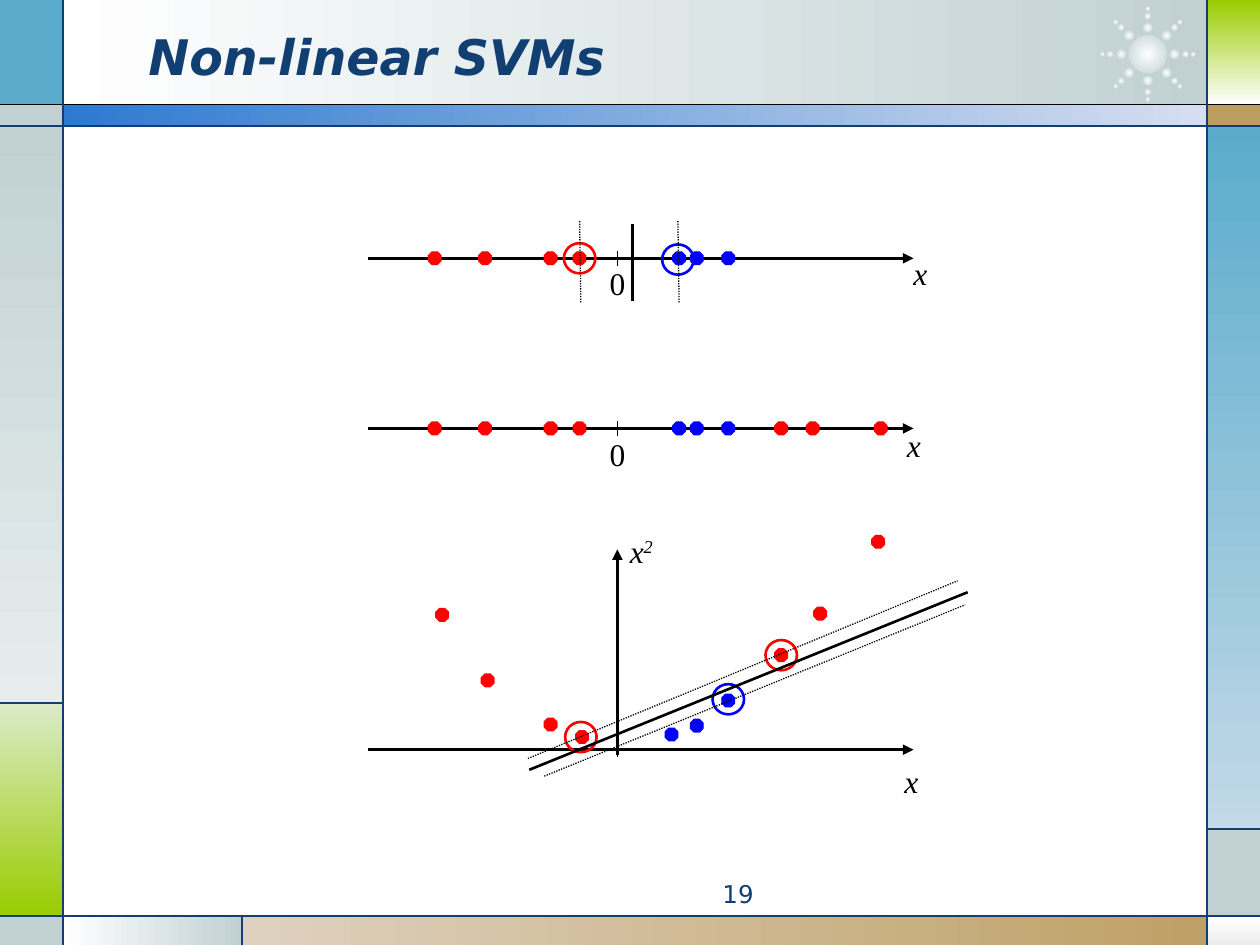
"""Build the slide on non-linear SVMs: three point plots inside a framed page."""
import dataclasses
import math

import lxml.etree
import pptx
import pptx.dml.color
import pptx.enum.dml
import pptx.enum.shapes
import pptx.enum.text
import pptx.oxml.ns
import pptx.util


@dataclasses.dataclass(frozen=True)
class Theme:
    navy: str = "113F71"
    black: str = "000000"
    white: str = "FFFFFF"
    silver: str = "C1D1D3"
    mist: str = "E7EDEE"
    teal: str = "5AABCC"
    pale_teal: str = "C2D9E7"
    green: str = "99CC00"
    pale_green: str = "DBEBC9"
    brown: str = "BD9E61"
    sand: str = "DED1BF"
    blue: str = "2D7ACF"
    pale_blue: str = "D7DEF0"
    smoke: str = "EDEDED"
    red_class: str = "FF0000"
    blue_class: str = "0000FF"
    sans: str = "DejaVu Sans"
    serif: str = "Times New Roman"
    title_size: int = 28
    label_size: int = 18
    number_size: int = 14


theme = Theme()
shapes_enum = pptx.enum.shapes.MSO_SHAPE
align = pptx.enum.text.PP_ALIGN
anchor = pptx.enum.text.MSO_ANCHOR
rgb = pptx.dml.color.RGBColor.from_string
qn = pptx.oxml.ns.qn

COLUMNS, ROWS = 100, 75
presentation = pptx.Presentation()
presentation.slide_width = pptx.util.Inches(10)
presentation.slide_height = pptx.util.Inches(7.5)
column = presentation.slide_width / COLUMNS
row = presentation.slide_height / ROWS
slide = presentation.slides.add_slide(presentation.slide_layouts[6])


def add_area(kind, left, top, width, height, colours=(), angle=0, line=None, line_width=0.75):
    """Add a preset shape in grid units with no fill, a solid fill or a gradient."""
    shape = slide.shapes.add_shape(
        kind, int(left * column), int(top * row), int(width * column), int(height * row))
    shape.shadow.inherit = False
    if len(colours) == 2:
        shape.fill.gradient()
        shape.fill.gradient_angle = -angle % 360
        for stop, colour, position in zip(shape.fill.gradient_stops, colours, (0, 1)):
            stop.color.rgb = rgb(colour)
            stop.position = position
    elif colours:
        shape.fill.solid()
        shape.fill.fore_color.rgb = rgb(colours[0])
    else:
        shape.fill.background()
    if line:
        shape.line.color.rgb = rgb(line)
        shape.line.width = pptx.util.Pt(line_width)
    else:
        shape.line.fill.background()
    return shape


def add_line(x1, y1, x2, y2, colour=theme.black, width=0.75, dotted=False, arrow=False):
    """Add a straight line in grid units."""
    connector = slide.shapes.add_connector(
        pptx.enum.shapes.MSO_CONNECTOR.STRAIGHT,
        int(x1 * column), int(y1 * row), int(x2 * column), int(y2 * row))
    connector.line.color.rgb = rgb(colour)
    connector.line.width = pptx.util.Pt(width)
    if dotted:
        connector.line.dash_style = pptx.enum.dml.MSO_LINE.ROUND_DOT
    if arrow:
        lxml.etree.SubElement(connector.line._get_or_add_ln(), qn("a:tailEnd"), type="triangle")
    lxml.etree.SubElement(connector._element.spPr, qn("a:effectLst"))


LEFT, RIGHT, HEADER, BODY, FOOTER = 5, 95.8, 8.3, 10, 72.7
LEFT_SPLIT, RIGHT_SPLIT, FOOTER_SPLIT = 55.8, 65.8, 19.2
frame_panels = [
    (LEFT, 0, RIGHT, HEADER, (theme.white, theme.silver), 0),
    (0, 0, LEFT, HEADER, (theme.teal,), 0),
    (0, HEADER, LEFT, BODY, (theme.silver,), 0),
    (0, BODY, LEFT, LEFT_SPLIT, (theme.silver, theme.mist), 90),
    (0, LEFT_SPLIT, LEFT, FOOTER, (theme.pale_green, theme.green), 90),
    (0, FOOTER, LEFT, ROWS, (theme.silver,), 0),
    (LEFT, FOOTER, FOOTER_SPLIT, ROWS, (theme.white, theme.silver), 0),
    (FOOTER_SPLIT, FOOTER, COLUMNS, ROWS, (theme.sand, theme.brown), 0),
    (RIGHT, FOOTER, COLUMNS, ROWS, (theme.white, theme.smoke), 90),
    (RIGHT, RIGHT_SPLIT, COLUMNS, FOOTER, (theme.silver,), 0),
    (RIGHT, BODY, COLUMNS, RIGHT_SPLIT, (theme.teal, theme.pale_teal), 90),
    (RIGHT, HEADER, COLUMNS, BODY, (theme.brown,), 0),
    (RIGHT, 0, COLUMNS, HEADER, (theme.green, theme.white), 90),
    (LEFT, HEADER, RIGHT, BODY, (theme.blue, theme.pale_blue), 0),
]
for left, top, right, bottom, colours, angle in frame_panels:
    add_area(shapes_enum.RECTANGLE, left, top, right - left, bottom - top, colours, angle)

SUN_X, SUN_Y, RAYS = 91.1, 4.3, 8
sun_dots = [(0, 0, 3)]
for ray in range(RAYS):
    sun_dots += [(ray, distance, size) for distance, size in ((2.1, 0.75), (3, 0.5), (3.6, 0.35))]
for ray, distance, size in sun_dots:
    turn = 2 * math.pi * ray / RAYS
    dot = add_area(shapes_enum.OVAL, SUN_X + distance * math.cos(turn) - size / 2,
                   SUN_Y + distance * math.sin(turn) - size / 2, size, size,
                   (theme.white, theme.silver))
    gradient = dot._element.spPr.find(qn("a:gradFill"))
    gradient.remove(gradient.find(qn("a:lin")))
    radial = lxml.etree.SubElement(gradient, qn("a:path"), {"path": "circle"})
    lxml.etree.SubElement(radial, qn("a:fillToRect"), l="50000", t="50000", r="50000", b="50000")

add_line(0, HEADER, COLUMNS, HEADER)
for x1, y1, x2, y2 in [
    (0, BODY, COLUMNS, BODY), (0, FOOTER, COLUMNS, FOOTER),
    (LEFT, 0, LEFT, ROWS), (RIGHT, 0, RIGHT, ROWS),
    (0, LEFT_SPLIT, LEFT, LEFT_SPLIT), (FOOTER_SPLIT, FOOTER, FOOTER_SPLIT, ROWS),
    (RIGHT, RIGHT_SPLIT, COLUMNS, RIGHT_SPLIT),
]:
    add_line(x1, y1, x2, y2, theme.navy)

AXIS_START, AXIS_END, ORIGIN = 29.2, 72.5, 49
SEPARABLE, MIXED, MAPPED = 20.5, 34, 59.5
for axis in (SEPARABLE, MIXED, MAPPED):
    add_line(AXIS_START, axis, AXIS_END, axis, width=2, arrow=True)
    add_line(ORIGIN, axis - 0.6, ORIGIN, axis + 0.6)
add_line(ORIGIN, 59.9, ORIGIN, 43.6, width=2, arrow=True)

left_reds, right_reds, blues = (34.5, 38.5, 43.7, 46), (62, 64.5, 69.9), (53.9, 55.3, 57.8)
points = {
    theme.red_class: [(x, SEPARABLE) for x in left_reds]
    + [(x, MIXED) for x in left_reds + right_reds]
    + [(35.1, 48.8), (38.7, 54), (43.7, 57.5), (46.2, 58.5), (62, 52), (65.1, 48.7), (69.7, 43)],
    theme.blue_class: [(x, axis) for axis in (SEPARABLE, MIXED) for x in blues]
    + [(53.3, 58.3), (55.3, 57.6), (57.8, 55.6)],
}
support_vectors = {
    theme.red_class: [(46, SEPARABLE), (62, 52), (46.1, 58.5)],
    theme.blue_class: [(53.8, 20.6), (57.8, 55.5)],
}
for colour, centres in points.items():
    for x, y in centres:
        point = add_area(shapes_enum.OCTAGON, x - 0.5, y - 0.5, 1, 1, (colour,), line=colour)
        point.adjustments[0] = 0.29
for colour, centres in support_vectors.items():
    for x, y in centres:
        add_area(shapes_enum.OVAL, x - 1.25, y - 1.2, 2.5, 2.4, line=colour, line_width=1.5)

for x1, y1, x2, y2 in [(50.2, 17.8, 50.2, 23.9), (42, 61.1, 76.8, 47)]:
    add_line(x1, y1, x2, y2, width=1.5)
for x1, y1, x2, y2 in [(53.9, 24, 53.8, 17.5), (46.1, 24, 46, 17.5),
                       (41.9, 60.2, 76, 46.1), (43.2, 61.6, 76.6, 48)]:
    add_line(x1, y1, x2, y2, dotted=True)

title_style = (theme.sans, theme.title_size, theme.navy, True, True, align.LEFT, anchor.MIDDLE)
number_style = (theme.sans, theme.number_size, theme.navy, False, False, align.RIGHT, anchor.TOP)
zero_style = (theme.serif, theme.label_size, theme.black, False, False, align.LEFT, anchor.TOP)
variable_style = (theme.serif, theme.label_size, theme.black, False, True, align.LEFT, anchor.TOP)
for text, exponent, left, top, width, height, style in [
    ("Non-linear SVMs", "", 10.8, 1.3, 73.3, 6.2, title_style),
    ("19", "", 37.5, 69.3, 23.3, 2.7, number_style),
    ("0", "", 47.4, SEPARABLE, 3.8, 4, zero_style),
    ("0", "", 47.4, MIXED, 3.8, 4, zero_style),
    ("x", "", 71.5, 19.7, 5, 4, variable_style),
    ("x", "", 71, 33.3, 5, 4, variable_style),
    ("x", "2", ORIGIN, 41.7, 5, 4, variable_style),
    ("x", "", 70.8, 60, 5, 4, variable_style),
]:
    font_name, size, colour, bold, italic, alignment, vertical = style
    text_frame = slide.shapes.add_textbox(
        int(left * column), int(top * row), int(width * column), int(height * row)).text_frame
    text_frame.word_wrap = True
    text_frame.vertical_anchor = vertical
    text_frame.text = text
    paragraph = text_frame.paragraphs[0]
    paragraph.alignment = alignment
    if exponent:
        raised = paragraph.add_run()
        raised.text = exponent
        raised.font._element.set("baseline", "30000")
    for run in paragraph.runs:
        run.font.name, run.font.size = font_name, pptx.util.Pt(size)
        run.font.bold, run.font.italic = bold, italic
        run.font.color.rgb = rgb(colour)

presentation.save("out.pptx")
